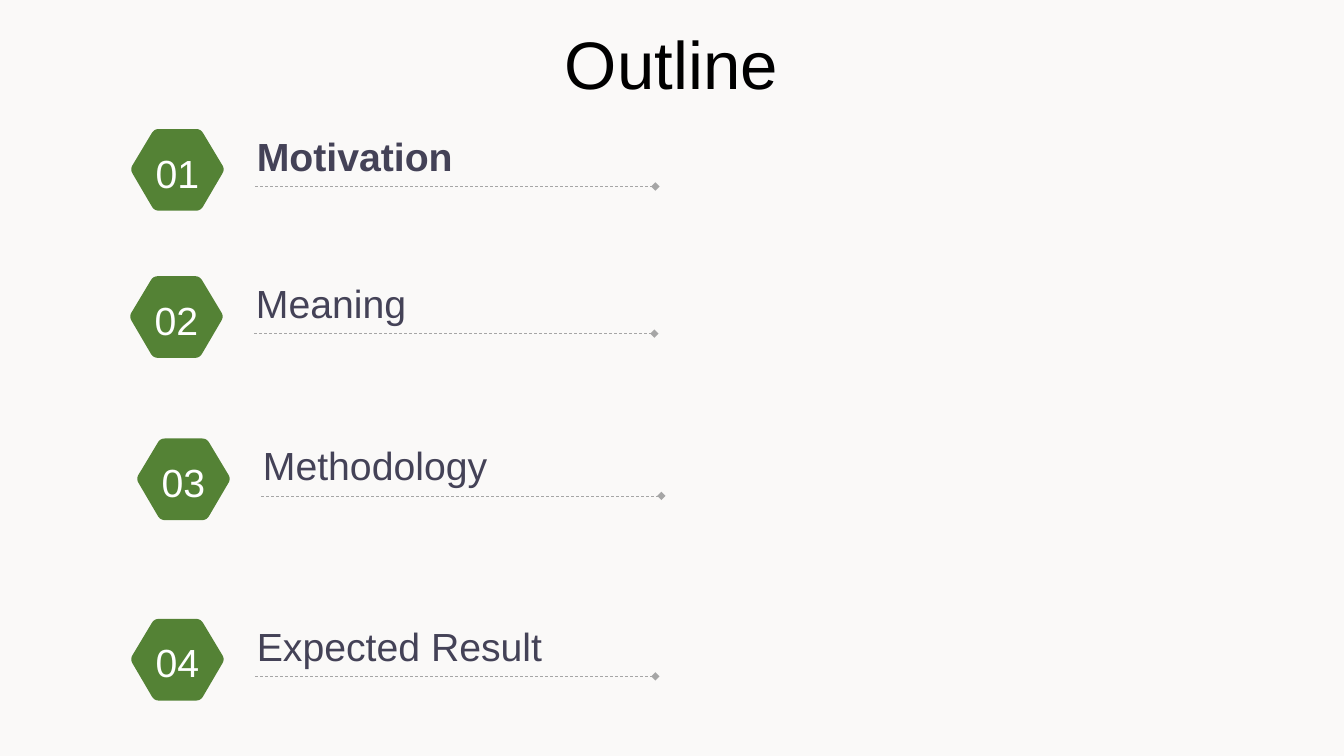
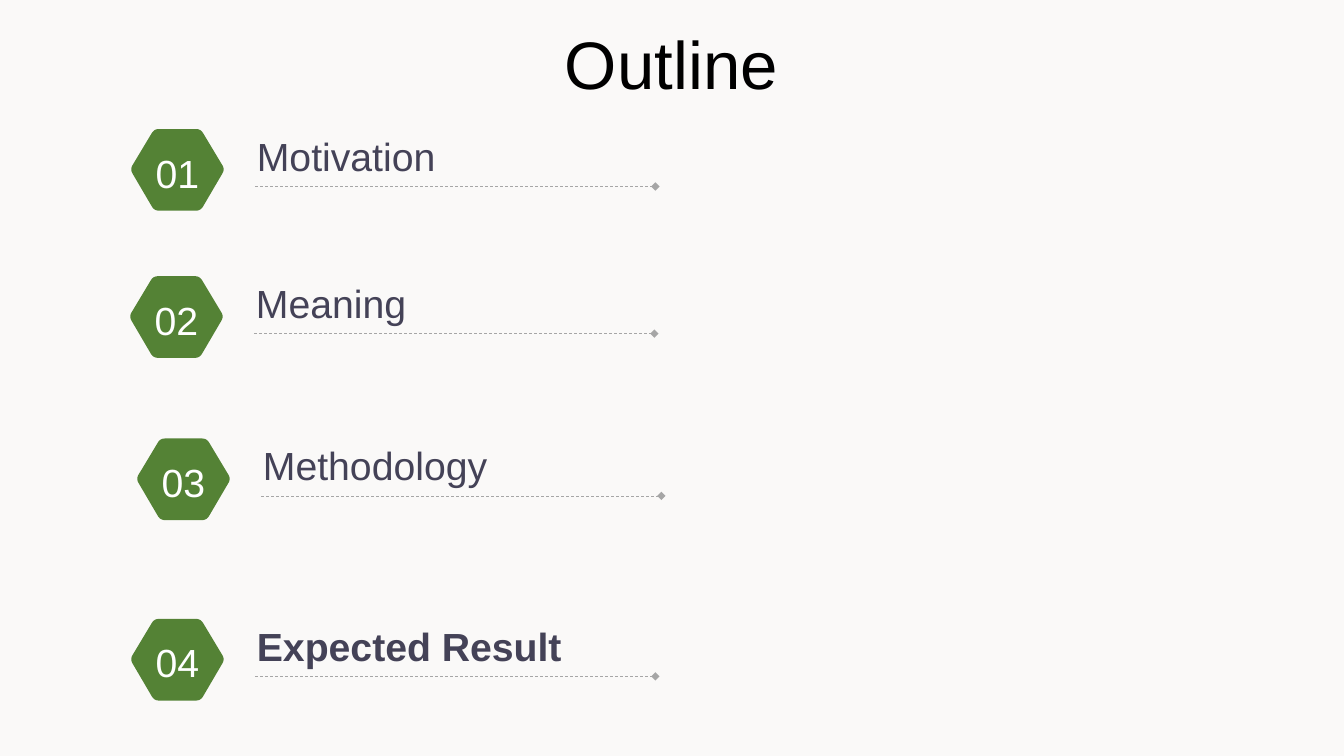
"""Build two outline slides that highlight a different section each."""
from dataclasses import dataclass

from lxml import etree
from pptx import Presentation
from pptx.dml.color import RGBColor
from pptx.enum import dml, shapes, text
from pptx.oxml import ns
from pptx.util import Inches, Pt

TITLE = "Outline"
SECTIONS = [
    {"name": "Motivation", "left": 1.31, "rule_y": 1.85, "width": 2.0},
    {"name": "Meaning", "left": 1.30, "rule_y": 3.31, "width": 1.71},
    {"name": "Methodology", "left": 1.37, "rule_y": 4.92, "width": 2.46},
    {"name": "Expected Result", "left": 1.31, "rule_y": 6.71, "width": 3.06},
]
HIGHLIGHTS = ["Motivation", "Expected Result"]

HEXAGON = [(-0.02, 0.4), (0.22, 0), (0.68, 0), (0.92, 0.4), (0.68, 0.81), (0.22, 0.81)]
CORNER_CUT = 0.1
CORNER_STEPS = 6
BADGE_RISE = 0.57
LABEL_RISE = 0.59
LABEL_OFFSET = 1.14
LABEL_HEIGHT = 0.57
BOLD_EXTRA = 0.2
RULE_OFFSET = 1.22
RULE_LENGTH = 3.97


@dataclass(frozen=True)
class Theme:
    """Hold the shared colours, font and sizes."""
    background: RGBColor = RGBColor.from_string("FAF9F8")
    title: RGBColor = RGBColor.from_string("000000")
    label: RGBColor = RGBColor.from_string("444257")
    badge: RGBColor = RGBColor.from_string("548235")
    number: RGBColor = RGBColor.from_string("FFFFFF")
    rule: RGBColor = RGBColor.from_string("A6A6A6")
    font: str = "Arial"
    title_size: int = 48
    section_size: int = 28
    rule_width: float = 0.5


THEME = Theme()


def write(frame, words, size, color, align, bold=False):
    """Fill a text frame with one formatted paragraph."""
    frame.text = words
    para = frame.paragraphs[0]
    para.alignment = align
    para.font.name = THEME.font
    para.font.size = Pt(size)
    para.font.bold = bold
    para.font.color.rgb = color


def between(start, end, share):
    """Return the point a given share of the way from start to end."""
    return tuple(a + (b - a) * share for a, b in zip(start, end))


def rounded_outline(corners):
    """Return the points of a polygon whose corners are curved."""
    points = []
    for index, corner in enumerate(corners):
        entry = between(corner, corners[index - 1], CORNER_CUT)
        leave = between(corner, corners[(index + 1) % len(corners)], CORNER_CUT)
        for step in range(CORNER_STEPS + 1):
            share = step / CORNER_STEPS
            points.append(between(between(entry, corner, share),
                                  between(corner, leave, share), share))
    return points


def add_badge(group, number, left, top):
    """Add a numbered hexagon with rounded corners."""
    points = [(Inches(left + x), Inches(top + y)) for x, y in rounded_outline(HEXAGON)]
    builder = group.shapes.build_freeform(*points[0])
    builder.add_line_segments(points[1:], close=True)
    badge = builder.convert_to_shape()
    badge.shadow.inherit = False
    badge.fill.solid()
    badge.fill.fore_color.rgb = THEME.badge
    badge.line.fill.background()
    frame = badge.text_frame
    frame.vertical_anchor = text.MSO_ANCHOR.MIDDLE
    frame.margin_top = Inches(0.1)
    write(frame, f"{number:02d}", THEME.section_size, THEME.number, text.PP_ALIGN.CENTER)


def add_rule(group, left, y):
    """Add a dashed rule that ends in a diamond."""
    rule = group.shapes.add_connector(
        shapes.MSO_CONNECTOR.STRAIGHT,
        Inches(left), Inches(y), Inches(left + RULE_LENGTH), Inches(y))
    rule.line.color.rgb = THEME.rule
    rule.line.width = Pt(THEME.rule_width)
    rule.line.dash_style = dml.MSO_LINE.DASH
    properties = rule._element.spPr
    etree.SubElement(properties.find(ns.qn("a:ln")), ns.qn("a:tailEnd"), type="diamond")
    etree.SubElement(properties, ns.qn("a:effectLst"))


def add_label(group, section, bold):
    """Add the section name above its rule."""
    box = group.shapes.add_textbox(
        Inches(section["left"] + LABEL_OFFSET), Inches(section["rule_y"] - LABEL_RISE),
        Inches(section["width"] + BOLD_EXTRA * bold), Inches(LABEL_HEIGHT))
    frame = box.text_frame
    frame.word_wrap = False
    frame.auto_size = text.MSO_AUTO_SIZE.SHAPE_TO_FIT_TEXT
    frame.vertical_anchor = text.MSO_ANCHOR.MIDDLE
    write(frame, section["name"], THEME.section_size, THEME.label,
          text.PP_ALIGN.LEFT, bold)


def add_outline(deck, highlight):
    """Add an outline slide with one section in bold."""
    page = deck.slides.add_slide(deck.slide_layouts[5])
    title = page.shapes.title
    title.left, title.top = Inches(3.33), Inches(0.17)
    title.width, title.height = Inches(6.66), Inches(0.91)
    title.text_frame.vertical_anchor = text.MSO_ANCHOR.TOP
    title.text_frame.auto_size = text.MSO_AUTO_SIZE.NONE
    write(title.text_frame, TITLE, THEME.title_size, THEME.title, text.PP_ALIGN.CENTER)
    for number, section in enumerate(SECTIONS, 1):
        group = page.shapes.add_group_shape()
        add_label(group, section, section["name"] == highlight)
        add_rule(group, section["left"] + RULE_OFFSET, section["rule_y"])
        add_badge(group, number, section["left"], section["rule_y"] - BADGE_RISE)


def main():
    """Build and save the deck."""
    deck = Presentation()
    deck.slide_width, deck.slide_height = Inches(13.33), Inches(7.5)
    background = deck.slide_master.background.fill
    background.solid()
    background.fore_color.rgb = THEME.background
    for highlight in HIGHLIGHTS:
        add_outline(deck, highlight)
    deck.save("out.pptx")


if __name__ == "__main__":
    main()
